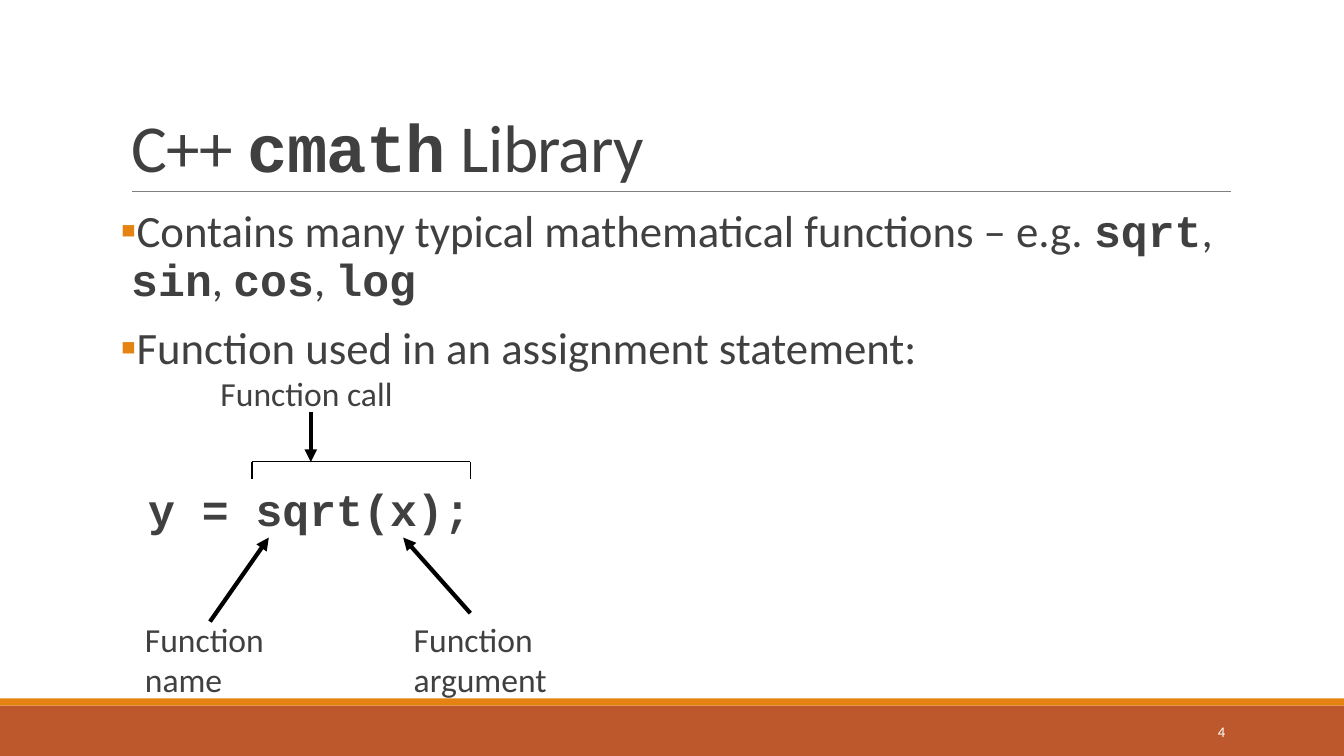
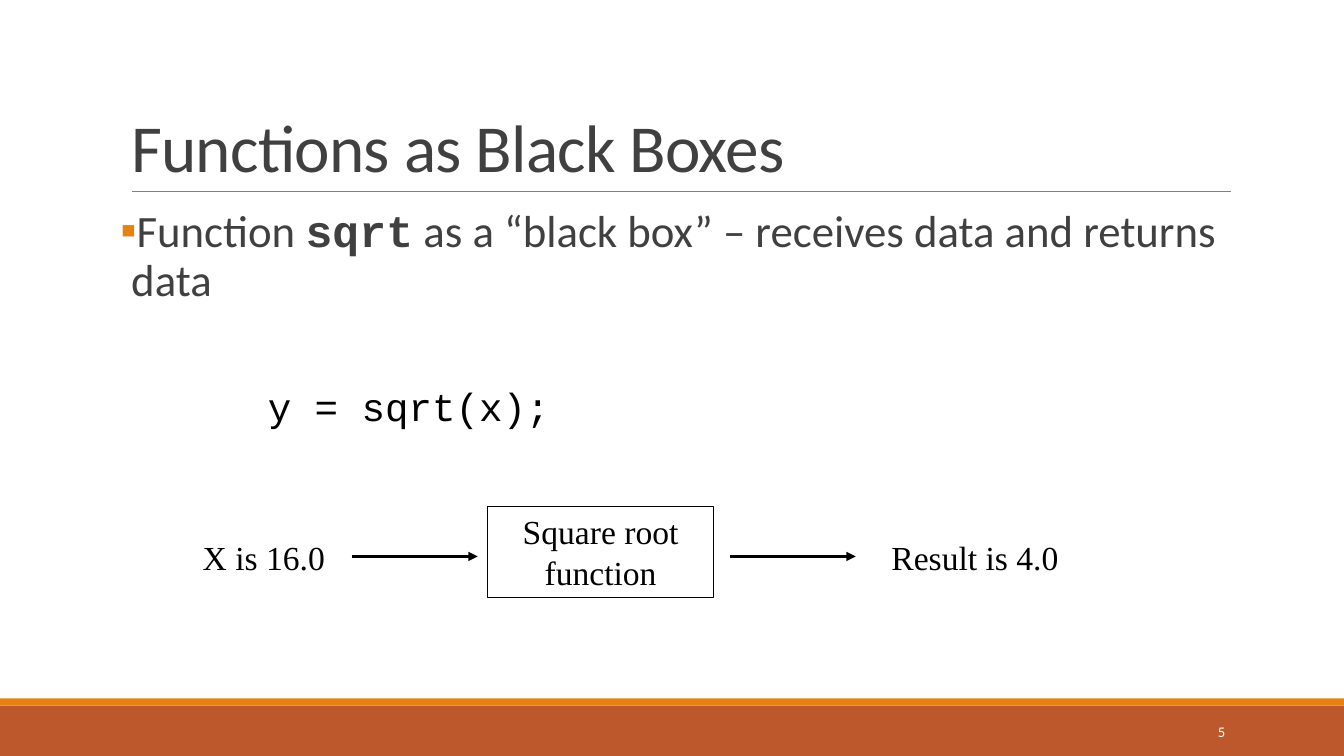
from lxml import etree
from pptx import Presentation
from pptx.dml.color import RGBColor
from pptx.enum.shapes import MSO_CONNECTOR as Connector, MSO_SHAPE as Shape
from pptx.enum.text import MSO_ANCHOR as Anchor, PP_ALIGN as Align
from pptx.oxml.ns import qn
from pptx.util import Emu, Pt

# Content: text between backticks is set in bold code type
LIBRARY = {
    "number": "4",
    "title": "C++ `cmath` Library",
    "bullets": [
        "Contains many typical mathematical functions – e.g. `sqrt`, `sin`, `cos`, `log`",
        "Function used in an assignment statement:",
    ],
    "labels": [
        ("Function name", (128, 584, 144, 87)),
        ("Function argument", (384, 584, 176, 87)),
        ("Function call", (200, 350, 248, 48)),
    ],
    "arrows": [
        ((200, 592), (256, 512)),
        ((448, 584), (384, 512)),
        ((296, 392), (296, 440)),
    ],
    "bracket": [(240, 456), (240, 440), (448, 440), (448, 456)],
}
BLACK_BOX = {
    "number": "5",
    "title": "Functions as Black Boxes",
    "bullets": ["Function `sqrt` as a “black box” – receives data and returns data"],
    "function": ("Square root function", (464, 482, 216, 87)),
    "data": [
        ("X is 16.0", (183, 506, 192, 48)),
        ("Result is 4.0", (839, 506, 200, 48)),
    ],
    "arrow_starts": [335, 695],
    "arrow_length": 120,
    "arrow_y": 530,
}
STATEMENT = "y = sqrt(x);"

# Shared style
WIDTH, HEIGHT = 1280, 720
BODY, CODE, SERIF = "Calibri", "Courier New", "Times New Roman"
TEXT, BLACK, WHITE, GRAY = "404040", "000000", "FFFFFF", "808080"
ORANGE, RUST = "E48312", "BD582C"
BANDS = [((0, 672, WIDTH, 48), RUST), ((0, 665, WIDTH, 7), ORANGE)]
TITLE_AREA = (115, 30, 1056, 152)
BODY_AREA = (115, 194, 1056, 180)
NUMBER_AREA = (1040, 678, 137, 38)
RULE = ((126, 182), (1172, 182))
INSET = (10, 5, 10, 5)


def px(length):
    return Emu(length * 9525)


def color(value):
    return RGBColor.from_string(value)


# Text helpers
def add_runs(paragraph, text, size, font=BODY, ink=TEXT, bold=False, spacing=None):
    for index, part in enumerate(text.split("`")):
        if not part:
            continue
        is_code = index % 2 == 1
        run = paragraph.add_run()
        run.text = part
        run.font.name = CODE if is_code else font
        run.font.size = Pt(size)
        run.font.bold = bold or is_code
        run.font.color.rgb = color(ink)
        if spacing is not None:
            run.font._element.set("spc", str(spacing))


def set_frame(shape, anchor=Anchor.TOP, inset=INSET):
    frame = shape.text_frame
    frame.word_wrap = True
    frame.vertical_anchor = anchor
    (frame.margin_left, frame.margin_top,
     frame.margin_right, frame.margin_bottom) = map(px, inset)
    return frame


def add_text(slide, area, text, size, anchor=Anchor.TOP, align=Align.LEFT,
             inset=INSET, line_spacing=None, **style):
    frame = set_frame(slide.shapes.add_textbox(*map(px, area)), anchor, inset)
    paragraph = frame.paragraphs[0]
    paragraph.alignment = align
    paragraph.line_spacing = line_spacing
    add_runs(paragraph, text, size, **style)


def add_bullet_mark(paragraph):
    properties = paragraph._p.get_or_add_pPr()
    properties.set("marL", str(px(10)))
    properties.set("indent", str(-px(10)))
    bullet_color = etree.SubElement(properties, qn("a:buClr"))
    etree.SubElement(bullet_color, qn("a:srgbClr"), val=ORANGE)
    etree.SubElement(properties, qn("a:buFont"), typeface=BODY)
    etree.SubElement(properties, qn("a:buChar"), char="▪")


def add_bullets(slide, bullets):
    frame = set_frame(slide.shapes.add_textbox(*map(px, BODY_AREA)), inset=(0, 5, 0, 5))
    for index, text in enumerate(bullets):
        paragraph = frame.add_paragraph() if index else frame.paragraphs[0]
        add_bullet_mark(paragraph)
        paragraph.line_spacing = 0.9
        paragraph.space_before = Pt(12 if index else 0)
        paragraph.space_after = Pt(2)
        add_runs(paragraph, text, 32)


# Shape helpers
def add_box(slide, area, fill=None, line=None):
    box = slide.shapes.add_shape(Shape.RECTANGLE, *map(px, area))
    box.shadow.inherit = False
    if fill:
        box.fill.solid()
        box.fill.fore_color.rgb = color(fill)
    else:
        box.fill.background()
    if line:
        box.line.color.rgb = color(line)
        box.line.width = Pt(0.75)
    else:
        box.line.fill.background()
    return box


def add_line(slide, start, end, width, ink=BLACK, arrow=False):
    line = slide.shapes.add_connector(Connector.STRAIGHT, *map(px, start + end))
    line.line.color.rgb = color(ink)
    line.line.width = Pt(width)
    if arrow:
        etree.SubElement(line.line._get_or_add_ln(), qn("a:tailEnd"), type="triangle")
    etree.SubElement(line._element.spPr, qn("a:effectLst"))


# Slides
def add_base_slide(presentation, content):
    slide = presentation.slides.add_slide(presentation.slide_layouts[6])
    for area, fill in BANDS:
        add_box(slide, area, fill)
    add_line(slide, *RULE, 0.5, GRAY)
    add_text(slide, TITLE_AREA, content["title"], 48, anchor=Anchor.BOTTOM,
             line_spacing=0.85, spacing=-50)
    add_bullets(slide, content["bullets"])
    add_text(slide, NUMBER_AREA, content["number"], 10.5, anchor=Anchor.MIDDLE,
             align=Align.RIGHT, ink=WHITE)
    return slide


def add_library_slide(presentation):
    slide = add_base_slide(presentation, LIBRARY)
    add_text(slide, (141, 459, 400, 49), STATEMENT, 32, inset=(0, 0, 0, 0),
             font=CODE, bold=True)
    for text, area in LIBRARY["labels"]:
        add_text(slide, area, text, 24)
    for start, end in LIBRARY["arrows"]:
        add_line(slide, start, end, 3, arrow=True)
    bracket = LIBRARY["bracket"]
    for start, end in zip(bracket, bracket[1:]):
        add_line(slide, start, end, 0.75)


def add_black_box_slide(presentation):
    slide = add_base_slide(presentation, BLACK_BOX)
    add_text(slide, (255, 364, 400, 43), STATEMENT, 28, inset=(0, 0, 0, 0),
             font=CODE, ink=BLACK)
    text, area = BLACK_BOX["function"]
    paragraph = set_frame(add_box(slide, area, line=BLACK)).paragraphs[0]
    paragraph.alignment = Align.CENTER
    add_runs(paragraph, text, 24, SERIF, BLACK)
    for text, area in BLACK_BOX["data"]:
        add_text(slide, area, text, 24, font=SERIF, ink=BLACK)
    y = BLACK_BOX["arrow_y"]
    for x in BLACK_BOX["arrow_starts"]:
        add_line(slide, (x, y), (x + BLACK_BOX["arrow_length"], y), 2.25, arrow=True)


def main():
    presentation = Presentation()
    presentation.slide_width, presentation.slide_height = px(WIDTH), px(HEIGHT)
    add_library_slide(presentation)
    add_black_box_slide(presentation)
    presentation.save("out.pptx")


if __name__ == "__main__":
    main()
